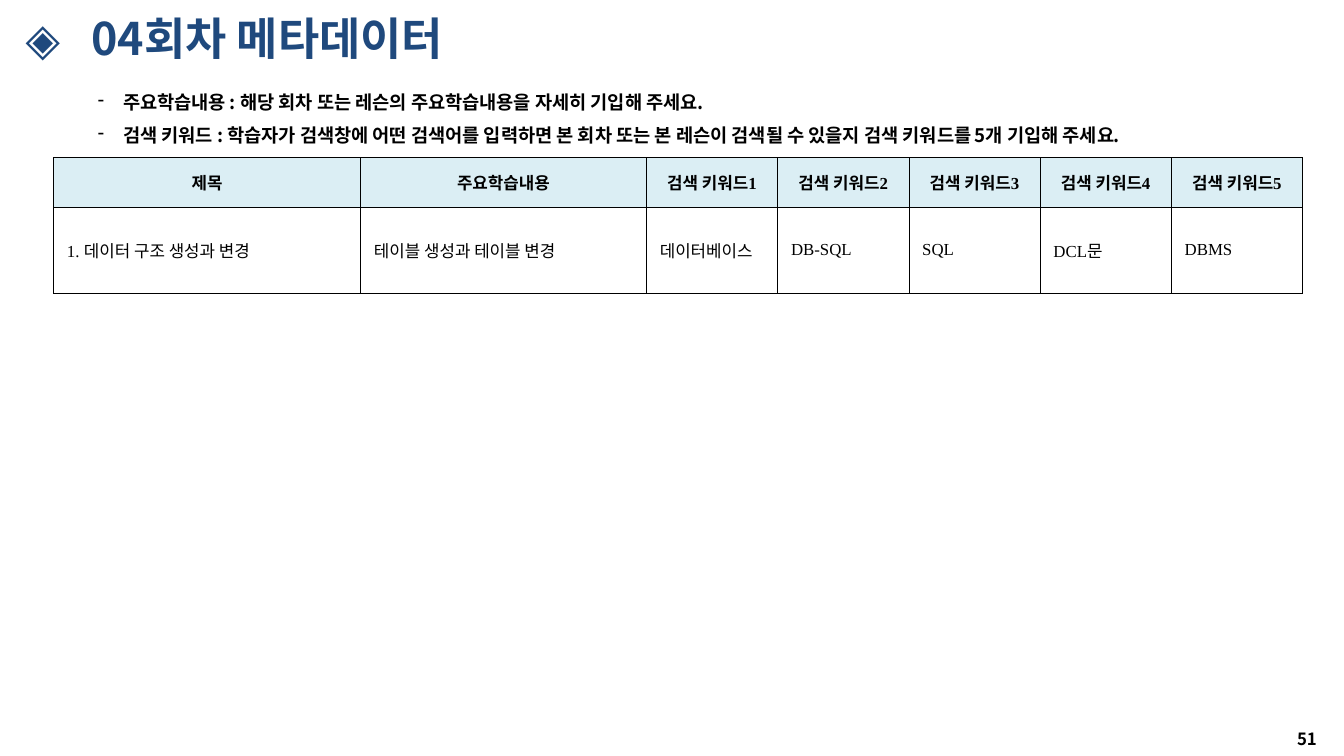
from lxml.etree import SubElement
from pptx import Presentation
from pptx.dml.color import RGBColor
from pptx.enum.text import MSO_ANCHOR, MSO_AUTO_SIZE, PP_ALIGN
from pptx.oxml import parse_xml
from pptx.oxml.ns import nsdecls, qn
from pptx.util import Pt

NAVY = RGBColor(0x1F, 0x49, 0x7D)
OUTLINE = RGBColor(0x37, 0x60, 0x92)
BLACK = RGBColor(0, 0, 0)
WHITE = RGBColor(0xFF, 0xFF, 0xFF)
HEADER_BLUE = RGBColor(0xDB, 0xEE, 0xF4)

SANS = "Noto Sans CJK KR"
SERIF = "Times New Roman"

GUIDELINES = [
    "주요학습내용 : 해당 회차 또는 레슨의 주요학습내용을 자세히 기입해 주세요.",
    "검색 키워드 : 학습자가 검색창에 어떤 검색어를 입력하면 본 회차 또는 본 레슨이 "
    "검색될 수 있을지 검색 키워드를 5개 기입해 주세요.",
]
HEADERS = ["제목", "주요학습내용"] + [f"검색 키워드{n}" for n in range(1, 6)]
LESSON = ["1. 데이터 구조 생성과 변경", "테이블 생성과 테이블 변경",
          "데이터베이스", "DB-SQL", "SQL", "DCL문", "DBMS"]
COLUMN_WIDTHS = [164.4, 153.2] + [70.3] * 5
ROW_HEIGHTS = [26.8, 46]


def line_xml(tag, color, width):
    return parse_xml(
        f'<a:{tag} {nsdecls("a")} w="{Pt(width)}"><a:solidFill>'
        f'<a:srgbClr val="{color}"/></a:solidFill></a:{tag}>')


def style(p, size, color=BLACK, bold=True, name=SANS):
    """Set the paragraph font, with the Korean glyphs always in the sans face."""
    font = p.font
    font.size, font.bold, font.name = Pt(size), bold, name
    font.color.rgb = color
    props = p._p.get_or_add_pPr().get_or_add_defRPr()
    SubElement(props, qn("a:ea")).set("typeface", SANS)
    return props


def add_textbox(s, left, top, width, height, wrap=True):
    box = s.shapes.add_textbox(Pt(left), Pt(top), Pt(width), Pt(height))
    tf = box.text_frame
    tf.word_wrap = wrap
    return tf


def add_heading(s, text, left, width):
    tf = add_textbox(s, left, 4.3, width, 31.7)
    tf.vertical_anchor = MSO_ANCHOR.MIDDLE
    tf.margin_left = tf.margin_right = Pt(6.5)
    tf.margin_top = tf.margin_bottom = Pt(3)
    p = tf.paragraphs[0]
    p.text = text
    style(p, 24, NAVY).insert(0, line_xml("ln", OUTLINE, 0.75))


def add_guidelines(s):
    tf = add_textbox(s, 45.4, 38.9, 585.4, 43.9, wrap=False)
    tf.auto_size = MSO_AUTO_SIZE.SHAPE_TO_FIT_TEXT
    for i, text in enumerate(GUIDELINES):
        p = tf.add_paragraph() if i else tf.paragraphs[0]
        p.text = text
        p.line_spacing = 1.5
        props = p._p.get_or_add_pPr()
        props.set("marL", str(Pt(13.5)))
        props.set("indent", str(-Pt(13.5)))
        SubElement(props, qn("a:buChar")).set("char", "-")
        style(p, 10)


def fill_cell(cell, text, is_header):
    cell.fill.solid()
    cell.fill.fore_color.rgb = HEADER_BLUE if is_header else WHITE
    cell.vertical_anchor = MSO_ANCHOR.MIDDLE
    p = cell.text_frame.paragraphs[0]
    p.text = text
    p.alignment = PP_ALIGN.CENTER if is_header else PP_ALIGN.LEFT
    style(p, 9, bold=is_header, name=SERIF)
    props = cell._tc.get_or_add_tcPr()
    for i, side in enumerate(("lnL", "lnR", "lnT", "lnB")):
        props.insert(i, line_xml(side, BLACK, 0.25))


def add_metadata_table(s):
    frame = s.shapes.add_table(
        len(ROW_HEIGHTS), len(COLUMN_WIDTHS), Pt(28.7), Pt(84.3),
        Pt(sum(COLUMN_WIDTHS)), Pt(sum(ROW_HEIGHTS)))
    table = frame.table
    for column, width in zip(table.columns, COLUMN_WIDTHS):
        column.width = Pt(width)
    for r, texts in enumerate((HEADERS, LESSON)):
        table.rows[r].height = Pt(ROW_HEIGHTS[r])
        for c, text in enumerate(texts):
            fill_cell(table.cell(r, c), text, is_header=r == 0)


def add_page_number(s, number):
    p = add_textbox(s, 683.3, 386.6, 33.8, 18).paragraphs[0]
    p.text = number
    p.alignment = PP_ALIGN.CENTER
    style(p, 9)


def main():
    prs = Presentation()
    prs.slide_width, prs.slide_height = Pt(720), Pt(405)
    s = prs.slides.add_slide(prs.slide_layouts[6])
    add_heading(s, "◈", 7.2, 33.8)
    add_page_number(s, "51")
    add_heading(s, "04회차 메타데이터", 42.5, 656.6)
    add_metadata_table(s)
    add_guidelines(s)
    prs.save("out.pptx")


if __name__ == "__main__":
    main()
